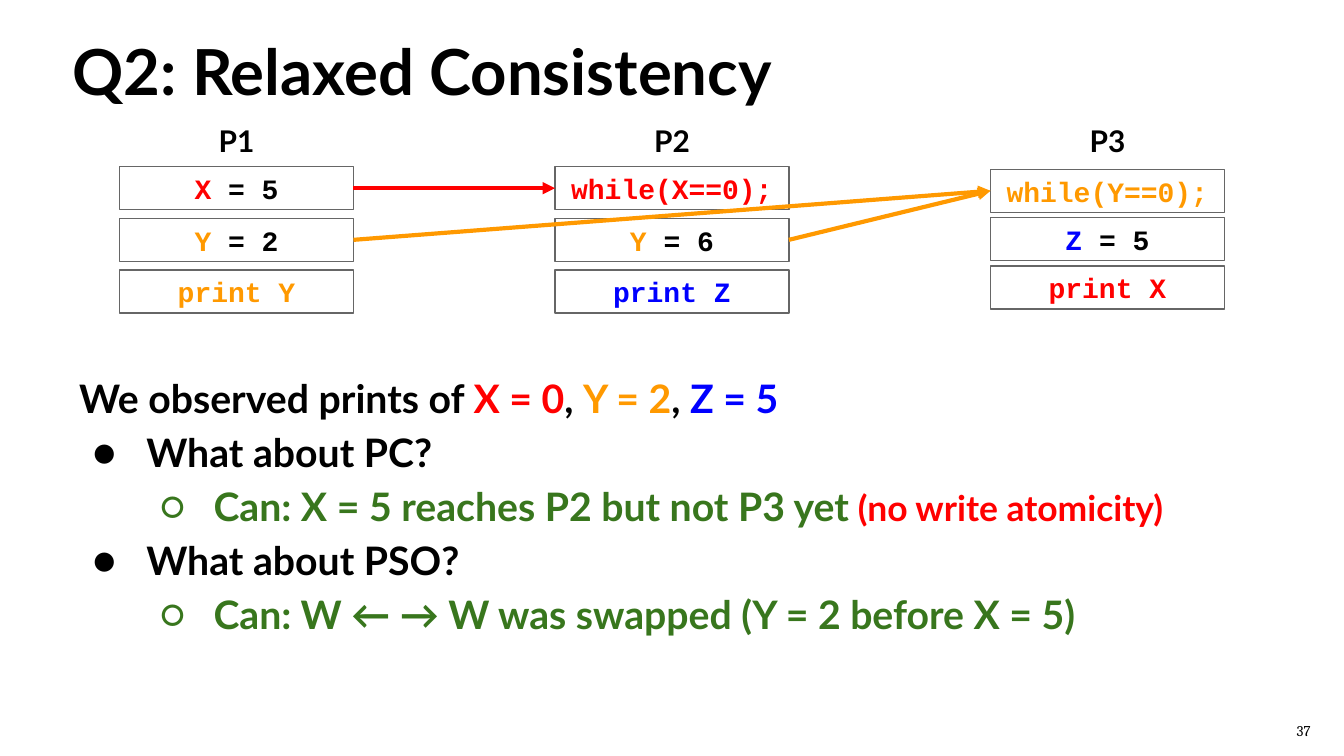
"""Build the relaxed consistency question slide: three programs and the observed prints."""
from dataclasses import dataclass
from typing import NamedTuple

from lxml import etree
from pptx import Presentation
from pptx import util as u
from pptx.dml.color import RGBColor
from pptx.enum import shapes, text
from pptx.oxml.ns import qn

BLACK = RGBColor(0x00, 0x00, 0x00)
WHITE = RGBColor(0xFF, 0xFF, 0xFF)
GRAY = RGBColor(0x66, 0x66, 0x66)
RED = RGBColor(0xFF, 0x00, 0x00)
ORANGE = RGBColor(0xFF, 0x99, 0x00)
BLUE = RGBColor(0x00, 0x00, 0xFF)
GREEN = RGBColor(0x38, 0x76, 0x1D)

SLIDE_W = 10
SLIDE_H = SLIDE_W * 9 / 16
INSET = 0.1
BOX_W, BOX_H = 1.74, 0.32
LABEL_W, LABEL_H, LABEL_TOP = 0.82, 0.47, 0.77
FIRST_COLUMN, COLUMN_STEP = 0.89, 3.24
LEFT_SITE, RIGHT_SITE = 1, 3


class Piece(NamedTuple):
    text: str
    color: RGBColor = BLACK
    size: float = 21


@dataclass(frozen=True)
class Processor:
    label: str
    first_top: float
    last_top: float
    statements: tuple[tuple[Piece, ...], ...]

    def row_top(self, row: int) -> float:
        step = (self.last_top - self.first_top) / (len(self.statements) - 1)
        return self.first_top + row * step


@dataclass(frozen=True)
class Line:
    pieces: tuple[Piece, ...]
    level: int = -1


@dataclass(frozen=True)
class Dependency:
    source: tuple[int, int]
    target: tuple[int, int]
    color: RGBColor


def code(content: str, color: RGBColor = BLACK) -> Piece:
    return Piece(content, color, 15)


PROCESSORS = (
    Processor("P1", 1.24, 2.01, (
        (code("X", RED), code(" = 5")),
        (code("Y ", ORANGE), code("= 2")),
        (code("print Y", ORANGE),),
    )),
    Processor("P2", 1.24, 2.01, (
        (code("while(X==0);", RED),),
        (code("Y ", ORANGE), code("= 6")),
        (code("print Z", BLUE),),
    )),
    Processor("P3", 1.26, 1.98, (
        (code("while(Y==0);", ORANGE),),
        (code("Z", BLUE), code(" = 5")),
        (code("print X", RED),),
    )),
)

DEPENDENCIES = (
    Dependency((0, 0), (1, 0), RED),
    Dependency((0, 1), (2, 0), ORANGE),
    Dependency((1, 1), (2, 0), ORANGE),
)

DISCUSSION = (
    Line((Piece("We observed prints of "), Piece("X = 0", RED), Piece(", "),
          Piece("Y = 2", ORANGE), Piece(", "), Piece("Z = 5", BLUE))),
    Line((Piece("What about PC?"),), 0),
    Line((Piece("Can: X = 5 reaches P2 but not P3 yet", GREEN),
          Piece(" (no write atomicity)", RED, 19)), 1),
    Line((Piece("What about PSO?"),), 0),
    Line((Piece("Can: W ← → W was swapped (Y = 2 before X = 5)", GREEN),), 1),
)


def inches(*lengths: float) -> list[u.Length]:
    return [u.Inches(length) for length in lengths]


def prepare(frame, anchor=text.MSO_ANCHOR.TOP) -> None:
    frame.word_wrap = True
    frame.auto_size = text.MSO_AUTO_SIZE.NONE
    frame.vertical_anchor = anchor
    frame.margin_left = frame.margin_right = u.Inches(INSET)
    frame.margin_top = frame.margin_bottom = u.Inches(INSET)


def write(paragraph, pieces: tuple[Piece, ...], font: str, bold: bool = True) -> None:
    for piece in pieces:
        run = paragraph.add_run()
        run.text = piece.text
        run.font.name = font
        run.font.size = u.Pt(piece.size)
        run.font.bold = bold
        run.font.color.rgb = piece.color


def add_bullet(paragraph, level: int, color: RGBColor, font: str) -> None:
    paragraph.level = level
    properties = paragraph._p.get_or_add_pPr()
    properties.set("marL", str(u.Inches(0.5 * (level + 1))))
    properties.set("indent", str(u.Inches(-0.4)))
    bullet_color = etree.SubElement(properties, qn("a:buClr"))
    etree.SubElement(bullet_color, qn("a:srgbClr"), val=str(color))
    etree.SubElement(properties, qn("a:buFont"), typeface=font)
    etree.SubElement(properties, qn("a:buChar"), char="●○"[level])


def add_text(slide, place: tuple[float, ...], lines: tuple[Line, ...], font: str = "Lato",
             align=text.PP_ALIGN.LEFT, anchor=text.MSO_ANCHOR.TOP,
             spacing: float = 1.15, bold: bool = True) -> None:
    frame = slide.shapes.add_textbox(*inches(*place)).text_frame
    prepare(frame, anchor)
    for index, line in enumerate(lines):
        paragraph = frame.add_paragraph() if index else frame.paragraphs[0]
        if line.level >= 0:
            add_bullet(paragraph, line.level, line.pieces[0].color, font)
        paragraph.alignment = align
        paragraph.line_spacing = spacing
        write(paragraph, line.pieces, font, bold)


def add_statement(slide, left: float, top: float, pieces: tuple[Piece, ...]):
    box = slide.shapes.add_shape(shapes.MSO_SHAPE.RECTANGLE, *inches(left, top, BOX_W, BOX_H))
    box.shadow.inherit = False
    box.fill.solid()
    box.fill.fore_color.rgb = WHITE
    box.line.color.rgb = GRAY
    box.line.width = u.Pt(0.75)
    prepare(box.text_frame, text.MSO_ANCHOR.MIDDLE)
    paragraph = box.text_frame.paragraphs[0]
    paragraph.alignment = text.PP_ALIGN.CENTER
    write(paragraph, pieces, "Courier New")
    return box


def add_processor(slide, column: int, processor: Processor) -> list:
    left = FIRST_COLUMN + column * COLUMN_STEP
    add_text(slide, (left + (BOX_W - LABEL_W) / 2, LABEL_TOP, LABEL_W, LABEL_H),
             (Line((Piece(processor.label, size=16),)),), align=text.PP_ALIGN.CENTER)
    return [add_statement(slide, left, processor.row_top(row), pieces)
            for row, pieces in enumerate(processor.statements)]


def add_dependency(slide, boxes: list[list], dependency: Dependency) -> None:
    (from_column, from_row), (to_column, to_row) = dependency.source, dependency.target
    arrow = slide.shapes.add_connector(shapes.MSO_CONNECTOR.STRAIGHT, 0, 0, 0, 0)
    arrow.begin_connect(boxes[from_column][from_row], RIGHT_SITE)
    arrow.end_connect(boxes[to_column][to_row], LEFT_SITE)
    arrow.line.color.rgb = dependency.color
    arrow.line.width = u.Pt(2.25)
    etree.SubElement(arrow.line._get_or_add_ln(), qn("a:tailEnd"), type="triangle")
    etree.SubElement(arrow._element.spPr, qn("a:effectLst"))


def add_title(slide, content: str) -> None:
    title = slide.shapes.title
    title.left, title.top, title.width, title.height = inches(0.44, 0.14, 8.22, 0.7)
    prepare(title.text_frame)
    paragraph = title.text_frame.paragraphs[0]
    paragraph.alignment = text.PP_ALIGN.LEFT
    write(paragraph, (Piece(content, size=34),), "Lato")


def main() -> None:
    deck = Presentation()
    deck.slide_width, deck.slide_height = inches(SLIDE_W, SLIDE_H)
    slide = deck.slides.add_slide(deck.slide_layouts.get_by_name("Title Only"))
    add_title(slide, "Q2: Relaxed Consistency")
    boxes = [add_processor(slide, column, processor)
             for column, processor in enumerate(PROCESSORS)]
    add_text(slide, (0.49, 2.63, 9.51, 2.18), DISCUSSION)
    for dependency in DEPENDENCIES:
        add_dependency(slide, boxes, dependency)
    add_text(slide, (9.4, 5.28, 0.6, 0.31), (Line((Piece("37", size=8),)),), "Cambria",
             text.PP_ALIGN.CENTER, text.MSO_ANCHOR.MIDDLE, 1.0, False)
    deck.save("out.pptx")


if __name__ == "__main__":
    main()
